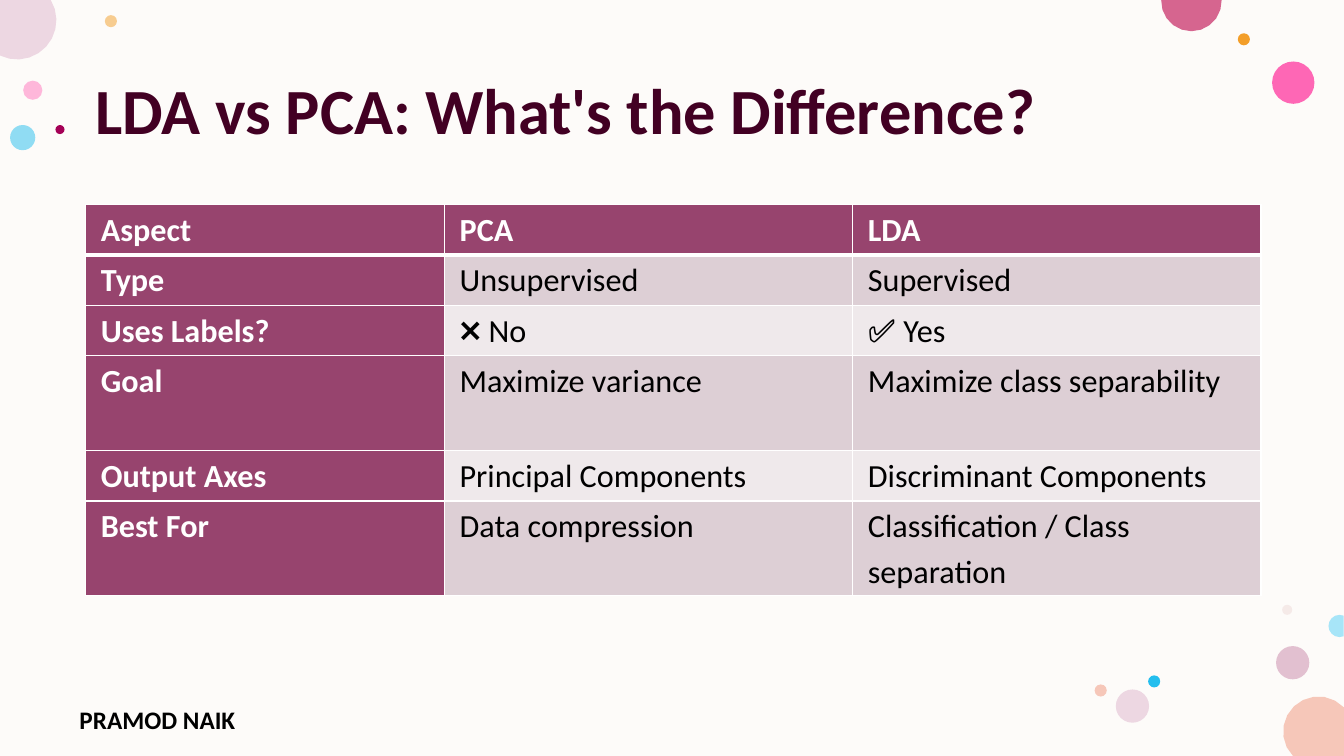
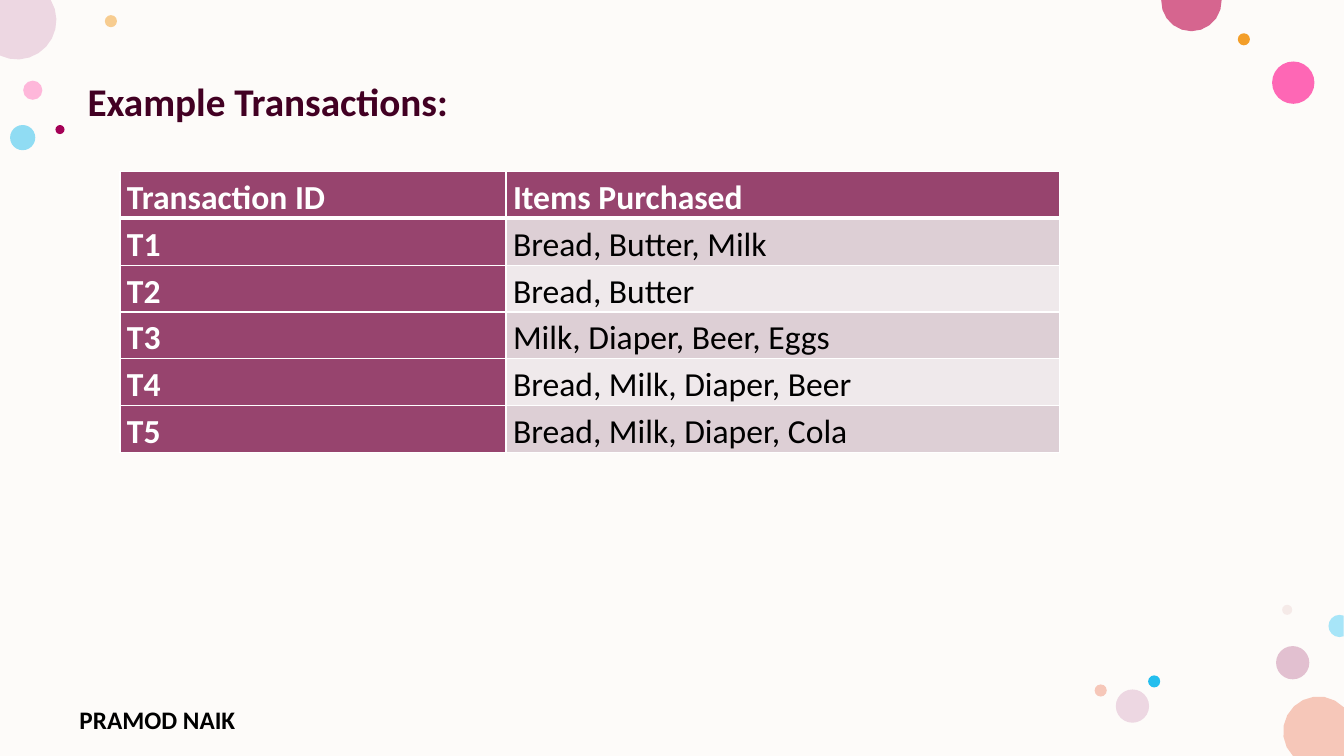
import math

from lxml import etree
from pptx import Presentation
from pptx.dml.color import RGBColor
from pptx.enum import shapes, text
from pptx.oxml.ns import qn
from pptx.util import Inches, Pt

FONT = "Calibri"
WIDTH, HEIGHT = 40 / 3, 7.5
ARC_STEPS = 10
COLORS = {
    "background": "FDFBF9", "title": "420023", "black": "000000", "white": "FFFFFF",
    "header": "97446E", "band_dark": "DDCFD5", "band_light": "EFE9EB",
    "pink": "FF75BD", "hot_pink": "FF2F9C", "rose": "D6658F", "blush": "E3BEBE",
    "mauve": "C987A8", "lilac": "EDD7E2", "wine": "A40056", "peach": "F6C7B9",
    "orange": "F39E29", "blue": "24BEEE", "pale_blue": "A7E5F8",
}
# left, top, diameter, colour, opacity in percent
DOTS = [
    (0.23, 0.8, 0.19, "pink", 50),
    (1.04, 0.15, 0.12, "orange", 50),
    (12.66, 6.41, 0.33, "mauve", 50),
    (0.1, 1.24, 0.25, "blue", 50),
    (12.62, 0.61, 0.42, "hot_pink", 72),
    (12.28, 0.33, 0.12, "orange", 100),
    (12.72, 6, 0.1, "blush", 28),
    (11.39, 6.7, 0.12, "blue", 100),
    (11.07, 6.84, 0.33, "lilac", 100),
    (10.86, 6.79, 0.12, "peach", 100),
    (0.55, 1.24, 0.09, "wine", 100),
]
# circles cut by the slide edge: centre x, centre y, radius,
# first and last angle of the visible arc, slide corners inside, colour
EDGE_CIRCLES = [
    (13.08, 7.26, 0.35, 136, 316, [(WIDTH, HEIGHT)], "peach"),
    (0.17, 0.2, 0.39, -31, 116, [(0, 0)], "lilac"),
    (11.82, 0.01, 0.3, -2, 182, [], "rose"),
    (13.29, 6.21, 0.11, 68, 292, [], "pale_blue"),
]
SLIDES = [
    {
        "heading": "LDA vs PCA: What's the Difference?",
        "heading_box": (0.85, 0.4, 11.66, 1.45),
        "heading_size": 46,
        "anchor": text.MSO_ANCHOR.MIDDLE,
        "table_at": (0.85, 2.03),
        "columns": [3.56, 4.05, 4.05],
        "heights": [0.5, 0.5, 0.5, 0.94, 0.5, 0.94],
        "size": 23,
        "inset": 0.15,
        "rows": [
            ("Aspect", "PCA", "LDA"),
            ("Type", "Unsupervised", "Supervised"),
            ("Uses Labels?", "❌ No", "✅ Yes"),
            ("Goal", "Maximize variance", "Maximize class separability"),
            ("Output Axes", "Principal Components", "Discriminant Components"),
            ("Best For", "Data compression", "Classification / Class separation"),
        ],
    },
    {
        "heading": "Example Transactions:",
        "heading_box": (0.77, 0.77, 11.92, 6),
        "heading_size": 28,
        "anchor": text.MSO_ANCHOR.TOP,
        "table_at": (1.19, 1.7),
        "columns": [3.83, 5.49],
        "heights": [2.79 / 6] * 6,
        "size": 24,
        "inset": 0.07,
        "rows": [
            ("Transaction ID", "Items Purchased"),
            ("T1", "Bread, Butter, Milk"),
            ("T2", "Bread, Butter"),
            ("T3", "Milk, Diaper, Beer, Eggs"),
            ("T4", "Bread, Milk, Diaper, Beer"),
            ("T5", "Bread, Milk, Diaper, Cola"),
        ],
    },
]


def set_text(frame, words, size, color, bold=True):
    frame.word_wrap = True
    paragraph = frame.paragraphs[0]
    paragraph.text = words
    paragraph.font.name = FONT
    paragraph.font.size = Pt(size)
    paragraph.font.bold = bold
    paragraph.font.color.rgb = RGBColor.from_string(COLORS[color])
    return paragraph


def paint(shape, color, opacity=100):
    shape.shadow.inherit = False
    shape.fill.solid()
    shape.fill.fore_color.rgb = RGBColor.from_string(COLORS[color])
    shape.line.fill.background()
    if opacity < 100:
        fill_color = shape.element.spPr.find(".//" + qn("a:srgbClr"))
        etree.SubElement(fill_color, qn("a:alpha"), val=str(opacity * 1000))


presentation = Presentation()
presentation.slide_width, presentation.slide_height = Inches(WIDTH), Inches(HEIGHT)

for content in SLIDES:
    slide = presentation.slides.add_slide(presentation.slide_layouts[6])

    backdrop = slide.shapes.add_shape(
        shapes.MSO_SHAPE.RECTANGLE, 0, 0, Inches(WIDTH), Inches(HEIGHT))
    paint(backdrop, "background")

    for left, top, diameter, color, opacity in DOTS:
        dot = slide.shapes.add_shape(
            shapes.MSO_SHAPE.OVAL, *map(Inches, (left, top, diameter, diameter)))
        paint(dot, color, opacity)

    for center_x, center_y, radius, first, last, corners, color in EDGE_CIRCLES:
        points = []
        for step in range(ARC_STEPS + 1):
            angle = math.radians(first + (last - first) * step / ARC_STEPS)
            x = center_x + radius * math.cos(angle)
            y = center_y + radius * math.sin(angle)
            points.append((min(max(x, 0), WIDTH), min(max(y, 0), HEIGHT)))
        points = [(Inches(x), Inches(y)) for x, y in points + corners]
        outline = slide.shapes.build_freeform(*points[0])
        outline.add_line_segments(points[1:], close=True)
        paint(outline.convert_to_shape(), color)

    footer = slide.shapes.add_textbox(*map(Inches, (0.69, 6.94, 2.45, 0.32)))
    set_text(footer.text_frame, "PRAMOD NAIK", 18, "black")

    heading = slide.shapes.add_textbox(*map(Inches, content["heading_box"]))
    heading.text_frame.vertical_anchor = content["anchor"]
    paragraph = set_text(
        heading.text_frame, content["heading"], content["heading_size"], "title")
    paragraph.line_spacing = 0.9

    rows, columns, heights = content["rows"], content["columns"], content["heights"]
    size = map(Inches, (sum(columns), sum(heights)))
    table = slide.shapes.add_table(
        len(rows), len(columns), *map(Inches, content["table_at"]), *size).table
    for column, width in zip(table.columns, columns):
        column.width = Inches(width)
    for row, height in zip(table.rows, heights):
        row.height = Inches(height)

    for row_index, row in enumerate(rows):
        for column_index, words in enumerate(row):
            cell = table.cell(row_index, column_index)
            is_header = row_index == 0 or column_index == 0
            cell.margin_left = cell.margin_right = Inches(content["inset"])
            cell.margin_top = cell.margin_bottom = 0
            paragraph = set_text(cell.text_frame, words, content["size"],
                                 "white" if is_header else "black", is_header)
            paragraph.line_spacing = 1.15
            paragraph.space_after = Pt(8)

            properties = cell._tc.get_or_add_tcPr()
            for side in ("lnL", "lnR", "lnT", "lnB"):
                below_header = (row_index, side) in ((0, "lnB"), (1, "lnT"))
                line = etree.SubElement(properties, qn("a:" + side),
                                        w=str(Pt(3 if below_header else 1)))
                line_fill = etree.SubElement(line, qn("a:solidFill"))
                etree.SubElement(line_fill, qn("a:srgbClr"), val=COLORS["white"])

            band = "band_dark" if row_index % 2 else "band_light"
            cell.fill.solid()
            cell.fill.fore_color.rgb = RGBColor.from_string(
                COLORS["header" if is_header else band])

presentation.save("out.pptx")
